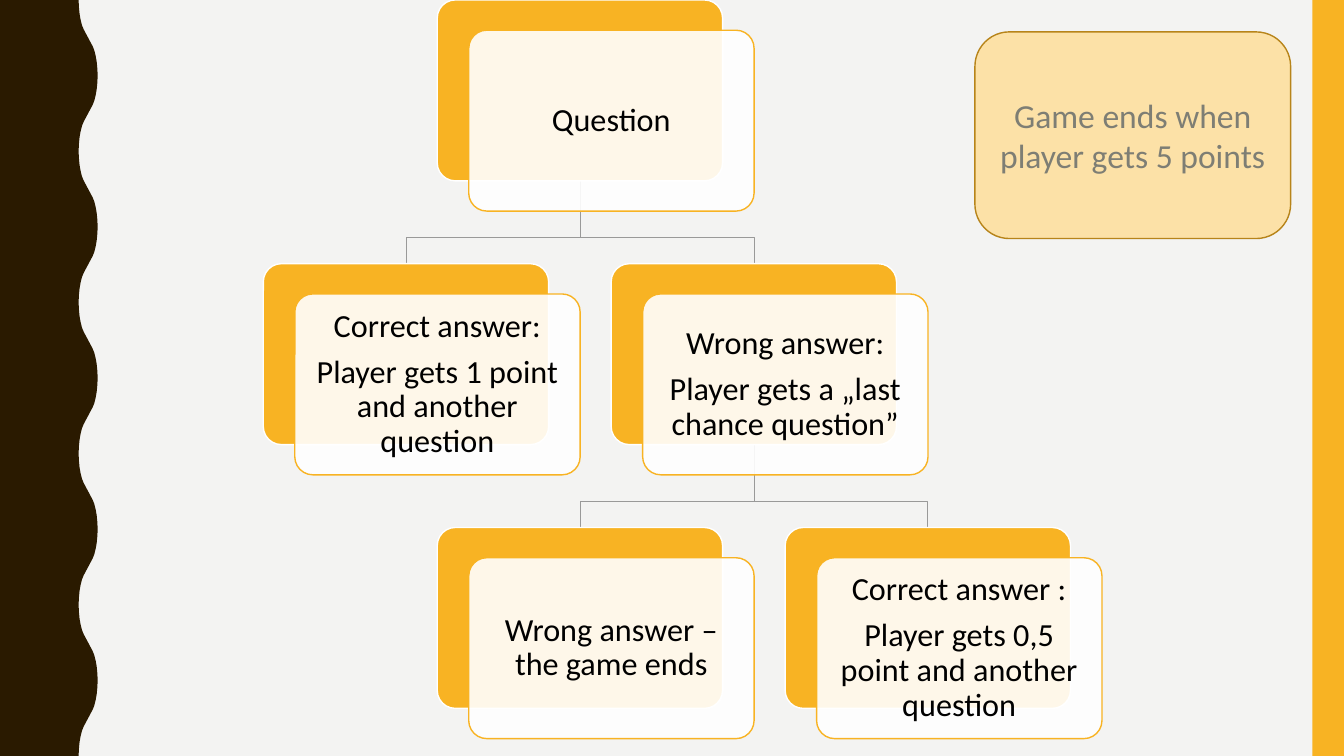
"""Build the quiz flow slide: a tree of answer cards beside a wavy border."""
from dataclasses import dataclass
from typing import Optional

from pptx import Presentation
from pptx.dml.color import RGBColor
from pptx.enum.shapes import MSO_SHAPE
from pptx.enum.text import MSO_ANCHOR, PP_ALIGN
from pptx.oxml.ns import qn
from pptx.util import Pt
from lxml.etree import SubElement

WIDTH, HEIGHT = 960, 540
GOLD, WHITE, BROWN, GREY = "F8B323", "FFFFFF", "2A1A00", "999999"
CARD_W, CARD_H = 203.8, 129.2
LEFT, COL_STEP, ROW_STEP = 188.1, 124.25, 188.4
SHIFT_X, SHIFT_Y = 22.5, 21.6
ELBOW = 40.5
WAVE_X, WAVE_DEPTH, HALF_WAVE = 56.2, 13.6, 54
WAVE_START = [(0, 0), (0.2, 5), (0.7, 10), (1.4, 14), (2.4, 18), (3.6, 21), (5.2, 24), (6.8, 27)]


@dataclass
class Card:
    col: int
    row: int
    lines: list[str]
    parent: Optional[int] = None

    @property
    def x(self) -> float:
        return LEFT + self.col * COL_STEP

    @property
    def y(self) -> float:
        return self.row * ROW_STEP

    @property
    def middle(self) -> float:
        return self.x + CARD_W / 2


CARDS = [
    Card(1, 0, ["Question"]),
    Card(0, 1, ["Correct answer:", "Player gets 1 point and another question"], 0),
    Card(2, 1, ["Wrong answer:", "Player gets a „last chance question”"], 0),
    Card(1, 2, ["Wrong answer – the game ends"], 2),
    Card(3, 2, ["Correct answer :", "Player gets 0,5 point and another question"], 2),
]


def rgb(color: str) -> RGBColor:
    return RGBColor.from_string(color)


def paint(sp, fill: Optional[str], line: Optional[str], weight: float = 1) -> None:
    sp.shadow.inherit = False
    if fill:
        sp.fill.solid()
        sp.fill.fore_color.rgb = rgb(fill)
    else:
        sp.fill.background()
    if line:
        sp.line.color.rgb = rgb(line)
        sp.line.width = Pt(weight)
    else:
        sp.line.fill.background()


def add_box(s, kind, x: float, y: float, w: float, h: float, fill: str,
            line: Optional[str] = None, corner: Optional[float] = None):
    sp = s.shapes.add_shape(kind, Pt(x), Pt(y), Pt(w), Pt(h))
    paint(sp, fill, line)
    if corner is not None:
        sp.adjustments[0] = corner
    return sp


def add_outline(s, points: list[tuple[float, float]], closed: bool):
    start, *rest = [(Pt(x), Pt(y)) for x, y in points]
    builder = s.shapes.build_freeform(*start)
    builder.add_line_segments(rest, close=closed)
    return builder.convert_to_shape()


def write(sp, lines: list[str], size: float, color: str, spacing: float = 1, after: float = 0) -> None:
    tf = sp.text_frame
    tf.word_wrap = True
    tf.vertical_anchor = MSO_ANCHOR.MIDDLE
    for i, line in enumerate(lines):
        p = tf.add_paragraph() if i else tf.paragraphs[0]
        p.alignment = PP_ALIGN.CENTER
        p.line_spacing = spacing
        p.space_after = Pt(after)
        r = p.add_run()
        r.text = line
        r.font.name = "Calibri"
        r.font.size = Pt(size)
        r.font.color.rgb = rgb(color)


def add_wave(s) -> None:
    half = WAVE_START + [(WAVE_DEPTH - dx, HALF_WAVE - dy) for dx, dy in WAVE_START[-2::-1]]
    points: list[tuple[float, float]] = [(0, 0)]
    for i in range(HEIGHT // HALF_WAVE):
        for dx, dy in half[bool(i):]:
            offset = WAVE_DEPTH - dx if i % 2 else dx
            points.append((WAVE_X + offset, i * HALF_WAVE + dy))
    points.append((0, HEIGHT))
    paint(add_outline(s, points, True), BROWN, None)


def add_branch(s, parent: Card, child: Card) -> None:
    bottom = parent.y + CARD_H
    points = [(parent.middle, bottom), (parent.middle, bottom + ELBOW),
              (child.middle, bottom + ELBOW), (child.middle, child.y)]
    paint(add_outline(s, points, False), None, GREY, 0.5)


def add_card(s, card: Card) -> None:
    add_box(s, MSO_SHAPE.ROUNDED_RECTANGLE, card.x, card.y, CARD_W, CARD_H, GOLD, WHITE, 0.1)
    front = add_box(s, MSO_SHAPE.ROUNDED_RECTANGLE, card.x + SHIFT_X, card.y + SHIFT_Y,
                    CARD_W, CARD_H, WHITE, GOLD, 0.1)
    fill = front.fill.fore_color._xFill
    SubElement(fill.find(qn("a:srgbClr")), qn("a:alpha"), val="90000")
    write(front, card.lines, 23, "000000", 0.9, 8)


def main() -> None:
    prs = Presentation()
    prs.slide_width, prs.slide_height = Pt(WIDTH), Pt(HEIGHT)
    s = prs.slides.add_slide(prs.slide_layouts[6])
    s.background.fill.solid()
    s.background.fill.fore_color.rgb = rgb("F3F3F2")
    add_wave(s)
    add_box(s, MSO_SHAPE.RECTANGLE, 937.5, 0, 22.5, HEIGHT, GOLD)
    for card in CARDS:
        if card.parent is not None:
            add_branch(s, CARDS[card.parent], card)
    for card in CARDS:
        add_card(s, card)
    ending = add_box(s, MSO_SHAPE.ROUNDED_RECTANGLE, 696.4, 22.8, 225.5, 147.6, "FCE1A7", "B7841A")
    write(ending, ["Game ends when player gets 5 points"], 24, "7E7E74")
    prs.save("out.pptx")


if __name__ == "__main__":
    main()
